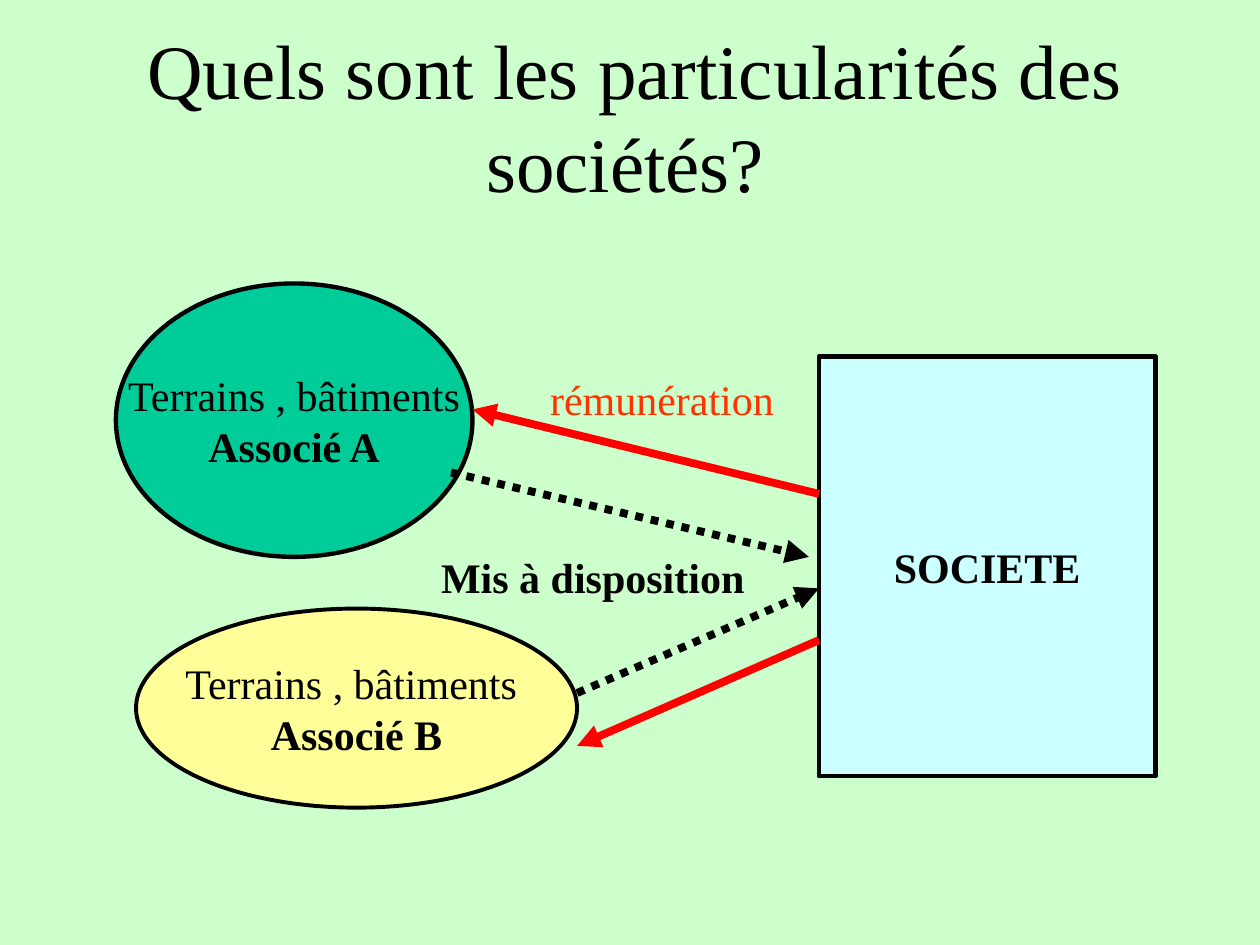
"""Build a slide on what partners bring to a company and how it pays them."""
from dataclasses import dataclass

from lxml import etree
from pptx import Presentation
from pptx.dml.color import RGBColor
from pptx.enum.dml import MSO_LINE
from pptx.enum.shapes import MSO_CONNECTOR, MSO_SHAPE
from pptx.enum.text import MSO_ANCHOR, MSO_AUTO_SIZE, PP_ALIGN
from pptx.oxml.ns import qn
from pptx.util import Inches, Pt

ELLIPSE, RECTANGLE = MSO_SHAPE.OVAL, MSO_SHAPE.RECTANGLE
STRAIGHT = MSO_CONNECTOR.STRAIGHT
DOTTED = MSO_LINE.ROUND_DOT
MIDDLE, CENTER = MSO_ANCHOR.MIDDLE, PP_ALIGN.CENTER
NO_AUTOFIT = MSO_AUTO_SIZE.NONE


@dataclass(frozen=True)
class Theme:
    """Colours, font and sizes of the slide."""

    font: str = "Times New Roman"
    title_size: int = 44
    body_size: int = 24
    arrow_width: float = 4.5
    background: str = "CCFFCC"
    ink: str = "000000"
    partner_a: str = "00CC99"
    partner_b: str = "FFFF99"
    company: str = "CCFFFF"
    payment_arrow: str = "FF0000"
    payment_text: str = "FF3300"


class SlideBuilder:
    """Draw styled elements on one slide."""

    def __init__(self, slide, theme):
        """Keep the slide and theme, and paint the background."""
        self.slide = slide
        self.theme = theme
        slide.background.fill.solid()
        slide.background.fill.fore_color.rgb = RGBColor.from_string(theme.background)

    def set_lines(self, frame, lines, size, color, wrap=False):
        """Fill a text frame with centred (text, bold) lines."""
        frame.word_wrap = wrap
        frame.auto_size = NO_AUTOFIT
        frame.vertical_anchor = MIDDLE
        for index, (text, bold) in enumerate(lines):
            paragraph = frame.add_paragraph() if index else frame.paragraphs[0]
            paragraph.text = text
            paragraph.alignment = CENTER
            font = paragraph.font
            font.name, font.size, font.bold = self.theme.font, Pt(size), bold
            font.color.rgb = RGBColor.from_string(color)

    def title(self, text, box):
        """Place and style the title placeholder."""
        heading = self.slide.shapes.title
        heading.left, heading.top, heading.width, heading.height = map(Inches, box)
        self.set_lines(heading.text_frame, [(text, False)], self.theme.title_size,
                       self.theme.ink, wrap=True)

    def party(self, kind, box, fill, outline, lines):
        """Add an outlined shape that stands for a partner or the company."""
        party = self.slide.shapes.add_shape(kind, *map(Inches, box))
        party.shadow.inherit = False
        party.fill.solid()
        party.fill.fore_color.rgb = RGBColor.from_string(fill)
        party.line.color.rgb = RGBColor.from_string(self.theme.ink)
        party.line.width = Pt(outline)
        self.set_lines(party.text_frame, lines, self.theme.body_size, self.theme.ink)

    def label(self, text, box, color, bold=False):
        """Add a free label."""
        caption = self.slide.shapes.add_textbox(*map(Inches, box))
        self.set_lines(caption.text_frame, [(text, bold)], self.theme.body_size, color)

    def arrow(self, start, end, color, dash=None):
        """Add a straight arrow that points at its end."""
        flow = self.slide.shapes.add_connector(STRAIGHT, *map(Inches, start + end))
        flow.line.color.rgb = RGBColor.from_string(color)
        flow.line.width = Pt(self.theme.arrow_width)
        if dash is not None:
            flow.line.dash_style = dash
        properties = flow._element.spPr
        etree.SubElement(properties.find(qn("a:ln")), qn("a:tailEnd"), type="triangle")
        etree.SubElement(properties, qn("a:effectLst"))


def main():
    """Build and save the slide."""
    deck = Presentation()
    deck.slide_width, deck.slide_height = Inches(10), Inches(7.5)
    theme = Theme()
    page = SlideBuilder(deck.slides.add_slide(deck.slide_layouts[5]), theme)

    page.title("Quels sont les particularités des sociétés? ", (0.83, 0.33, 8.42, 1.17))
    page.party(ELLIPSE, (0.92, 2.25, 2.83, 2.17), theme.partner_a, 2.5,
               [("Terrains , bâtiments", False), ("Associé A", True)])
    page.party(ELLIPSE, (1.08, 4.83, 3.5, 1.58), theme.partner_b, 2.25,
               [("Terrains , bâtiments ", False), ("Associé B", True)])
    page.party(RECTANGLE, (6.5, 2.83, 2.67, 3.33), theme.company, 2.75,
               [("SOCIETE", True)])

    page.arrow((3.58, 3.75), (6.42, 4.42), theme.ink, DOTTED)
    page.arrow((4.58, 5.5), (6.5, 4.67), theme.ink, DOTTED)
    page.label("Mis à disposition", (3.58, 4.33, 2.25, 0.5), theme.ink, bold=True)

    page.arrow((6.5, 3.92), (3.75, 3.25), theme.payment_arrow)
    page.arrow((6.5, 5.08), (4.58, 5.92), theme.payment_arrow)
    page.label("rémunération", (4.17, 3, 2.17, 0.33), theme.payment_text)

    deck.save("out.pptx")


if __name__ == "__main__":
    main()
